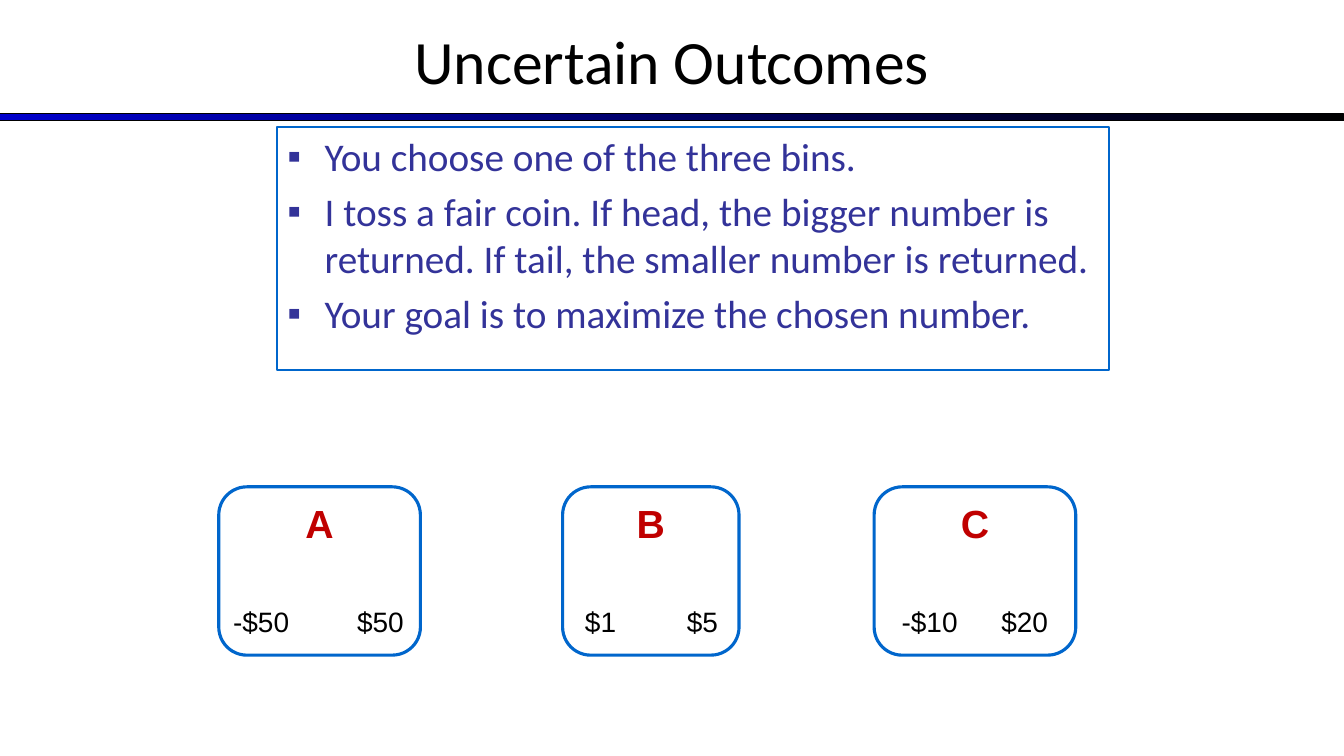
from dataclasses import dataclass

from lxml.etree import SubElement
from pptx import Presentation
from pptx.dml.color import RGBColor
from pptx.enum.shapes import MSO_SHAPE as Shape
from pptx.enum.text import MSO_ANCHOR as Anchor, MSO_AUTO_SIZE as AutoSize, PP_ALIGN as Align
from pptx.oxml.ns import qn
from pptx.util import Inches, Pt


@dataclass(frozen=True)
class Theme:
    black: str = "000000"
    white: str = "FFFFFF"
    bar: str = "0000CC"
    outline: str = "0066CC"
    body: str = "333399"
    bin_label: str = "C00000"
    title_size: int = 44
    body_size: int = 28
    label_size: int = 28
    payoff_size: int = 20
    text_font: str = "Calibri"
    bin_font: str = "Arial"


THEME = Theme()

RULES = [
    "You choose one of the three bins.",
    "I toss a fair coin. If head, the bigger number is returned. "
    "If tail, the smaller number is returned.",
    "Your goal is to maximize the chosen number.",
]

# label, left, width, (low payoff, its tab stop), (high payoff, its tab stop)
BINS = [
    ("A", 2.17, 2, ("-$50", 0.06), ("$50", 1.29)),
    ("B", 5.58, 1.75, ("$1", 0.14), ("$5", 1.15)),
    ("C", 8.67, 2, ("-$10", 0.19), ("$20", 1.18)),
]


def rgb(color):
    return RGBColor.from_string(color)


def place(shape, left, top, width, height):
    shape.left, shape.top = Inches(left), Inches(top)
    shape.width, shape.height = Inches(width), Inches(height)


def set_line(shape, color, width):
    shape.line.color.rgb = rgb(color)
    shape.line.width = Pt(width)


def add_run(paragraph, text, font, size, color, bold=False):
    run = paragraph.add_run()
    run.text = text
    run.font.name = font
    run.font.size = Pt(size)
    run.font.color.rgb = rgb(color)
    run.font.bold = bold


def add_bullet(paragraph):
    properties = paragraph._p.get_or_add_pPr()
    properties.set("marL", str(Inches(0.37)))
    properties.set("indent", str(Inches(-0.37)))
    color = SubElement(properties, qn("a:buClr"))
    SubElement(color, qn("a:srgbClr"), val=THEME.body)
    SubElement(properties, qn("a:buFont"), typeface=THEME.bin_font)
    SubElement(properties, qn("a:buChar"), char="▪")


def add_tab_stops(paragraph, stops):
    tabs = SubElement(paragraph._p.get_or_add_pPr(), qn("a:tabLst"))
    for stop in stops:
        SubElement(tabs, qn("a:tab"), pos=str(Inches(stop)), algn="l")


def add_divider(slide, left, top, width, height):
    divider = slide.shapes.add_shape(
        Shape.RECTANGLE, Inches(left), Inches(top), Inches(width), Inches(height))
    divider.shadow.inherit = False
    divider.fill.gradient()
    divider.fill.gradient_angle = 0
    for stop, color in zip(divider.fill.gradient_stops, (THEME.bar, THEME.black)):
        stop.color.rgb = rgb(color)
    set_line(divider, THEME.black, 0.75)


def fill_title(title, text, left, top, width, height):
    place(title, left, top, width, height)
    frame = title.text_frame
    frame.auto_size = AutoSize.NONE
    frame.vertical_anchor = Anchor.MIDDLE
    heading = frame.paragraphs[0]
    heading.alignment = Align.CENTER
    add_run(heading, text, THEME.text_font, THEME.title_size, THEME.black)


def fill_rules(body, left, top, width, height):
    place(body, left, top, width, height)
    set_line(body, THEME.outline, 1.5)
    frame = body.text_frame
    frame.auto_size = AutoSize.NONE
    frame.vertical_anchor = Anchor.TOP
    for index, rule in enumerate(RULES):
        paragraph = frame.add_paragraph() if index else frame.paragraphs[0]
        paragraph.space_before = Pt(5.6 if index else 0)
        add_bullet(paragraph)
        add_run(paragraph, rule, THEME.text_font, THEME.body_size, THEME.body)


def add_bin(slide, label, payoffs, left, top, width, height):
    """Draw a bin with its letter on top and its low and high payoffs below."""
    bin_box = slide.shapes.add_shape(
        Shape.ROUNDED_RECTANGLE, Inches(left), Inches(top), Inches(width), Inches(height))
    bin_box.shadow.inherit = False
    bin_box.fill.solid()
    bin_box.fill.fore_color.rgb = rgb(THEME.white)
    set_line(bin_box, THEME.outline, 2.25)

    frame = bin_box.text_frame
    frame.word_wrap = True
    frame.vertical_anchor = Anchor.TOP
    frame.margin_left = frame.margin_right = frame.margin_bottom = 0
    frame.margin_top = Inches(0.04)

    heading = frame.paragraphs[0]
    heading.alignment = Align.CENTER
    add_run(heading, label, THEME.bin_font, THEME.label_size, THEME.bin_label, bold=True)

    amounts = frame.add_paragraph()
    amounts.alignment = Align.LEFT
    amounts.space_before = Pt(42)
    add_tab_stops(amounts, [stop for _, stop in payoffs])
    for amount, _ in payoffs:
        add_run(amounts, "\t" + amount, THEME.bin_font, THEME.payoff_size, THEME.black)


def main():
    deck = Presentation()
    deck.slide_width, deck.slide_height = Inches(13.33), Inches(7.5)
    slide = deck.slides.add_slide(deck.slide_layouts[1])
    add_divider(slide, 0, 1.13, 13.33, 0.07)
    fill_title(slide.shapes.title, "Uncertain Outcomes", 0, -0.03, 13.33, 1.25)
    fill_rules(slide.placeholders[1], 2.75, 1.26, 8.25, 2.41)
    for label, left, width, low, high in BINS:
        add_bin(slide, label, (low, high), left, 4.83, width, 1.67)
    deck.save("out.pptx")


if __name__ == "__main__":
    main()
